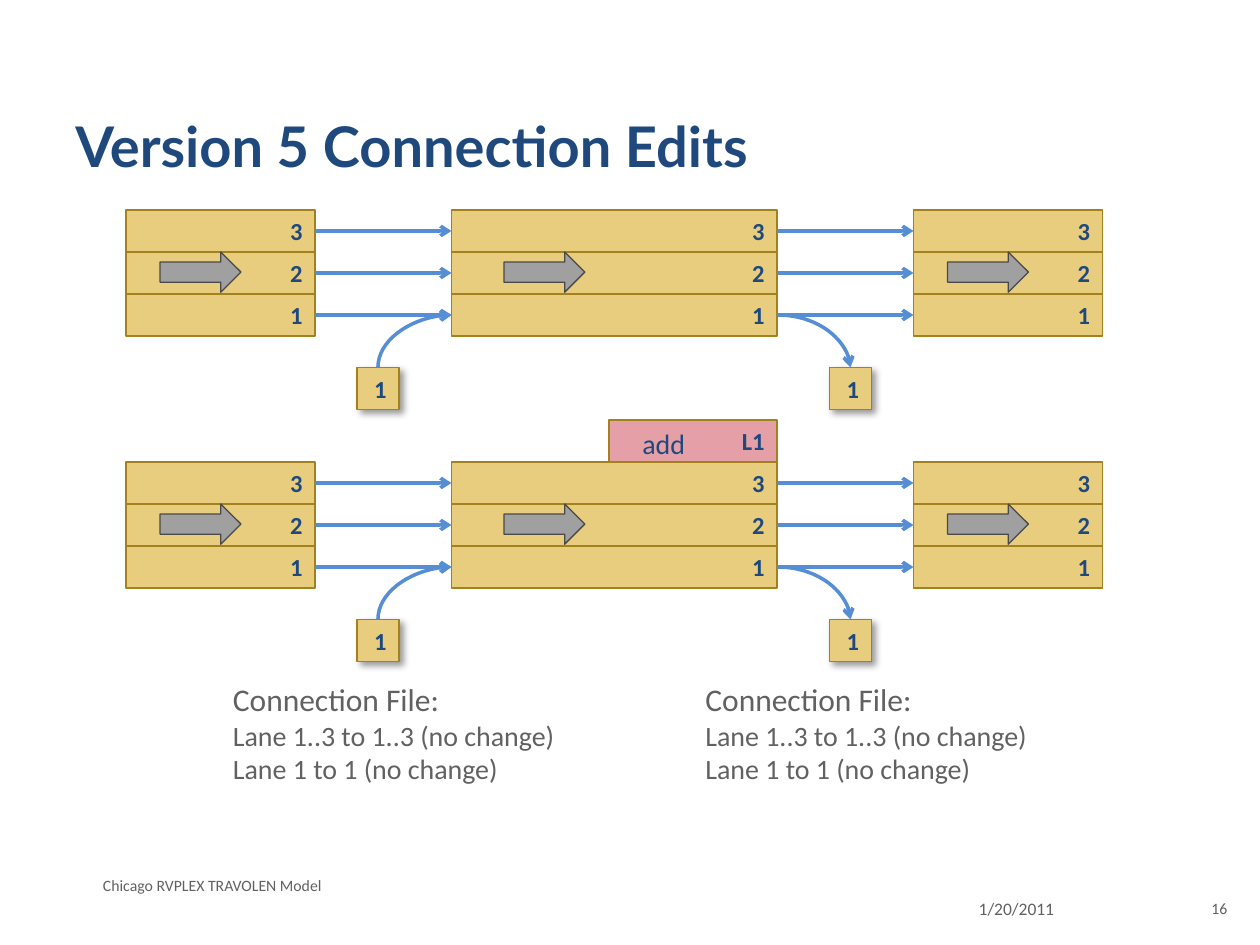
import pptx
import pptx.util
import pptx.dml.color
import pptx.enum.shapes
import pptx.enum.text
import pptx.oxml
import pptx.oxml.ns

Pt = pptx.util.Pt
SHAPE = pptx.enum.shapes.MSO_SHAPE
CONNECTOR = pptx.enum.shapes.MSO_CONNECTOR
ALIGN = pptx.enum.text.PP_ALIGN
ANCHOR = pptx.enum.text.MSO_ANCHOR
NAMESPACE = pptx.oxml.ns.nsdecls("a")

# Content
COLORS = {"navy": "1F497D", "gray": "616161", "lane": "E8CD7E", "lane_edge": "A3811D",
          "added": "E59FA6", "arrow": "A0A0A0", "arrow_edge": "494949", "link": "558ED5"}
TITLE = "Version 5 Connection Edits"
LANES = ["3", "2", "1"]
ROADS = [  # left, width, offset of the direction arrow
    (72, 108, 19.5),
    (258, 186, 30),
    (522, 108, 19.5),
]
ROAD_TOPS = [120, 264]
ADDED_LANE = ("L1", 348, 96)
NOTES = ["Connection File:", "Lane 1..3 to 1..3 (no change)", "Lane 1 to 1 (no change)"]
NOTE_LEFTS = [126, 396]
FOOTERS = [  # text, left, top, width, height, size, alignment
    ("Chicago RVPLEX TRAVOLEN Model", 51.8, 496.8, 468, 18, 9, ALIGN.LEFT),
    ("1/20/2011", 552.2, 509.8, 108, 24, 10, ALIGN.LEFT),
    ("16", 678.2, 509.8, 30.2, 23, 9, ALIGN.RIGHT),
]

LANE = 24         # height of a lane and side of a ramp box
RAMP_REACH = 42   # from road end to ramp centre
RAMP_DROP = 30    # from middle of lane 1 to ramp top


def rgb(name):
    return pptx.dml.color.RGBColor.from_string(COLORS[name])


def style_text(para, size, color, bold=False, font="Calibri", align=ALIGN.LEFT):
    para.alignment = align
    for span in para.runs:
        span.font.size = Pt(size)
        span.font.name = font
        span.font.bold = bold
        span.font.color.rgb = rgb(color)


def add_text(page, lines, left, top, width, height, sizes, color="gray", wrap=True, **style):
    box = page.shapes.add_textbox(Pt(left), Pt(top), Pt(width), Pt(height))
    frame = box.text_frame
    frame.text = "\n".join(lines)
    frame.word_wrap = wrap
    for para, size in zip(frame.paragraphs, sizes):
        style_text(para, size, color, **style)
    return box


def add_block(page, kind, left, top, width, height, fill, edge):
    block = page.shapes.add_shape(kind, Pt(left), Pt(top), Pt(width), Pt(height))
    block.shadow.inherit = False
    block.fill.solid()
    block.fill.fore_color.rgb = rgb(fill)
    block.line.color.rgb = rgb(edge)
    block.line.width = Pt(0.75)
    return block


def add_lane(page, label, left, top, width, fill="lane"):
    lane = add_block(page, SHAPE.RECTANGLE, left, top, width, LANE, fill, "lane_edge")
    lane.text_frame.text = label
    lane.text_frame.vertical_anchor = ANCHOR.MIDDLE
    style_text(lane.text_frame.paragraphs[0], 14, "navy", bold=True, align=ALIGN.RIGHT)
    return lane


def add_ramp(page, center, top):
    ramp = add_lane(page, "1", center - LANE / 2, top, LANE)
    effects = ramp._element.spPr.find(pptx.oxml.ns.qn("a:effectLst"))
    effects.append(pptx.oxml.parse_xml(
        f'<a:outerShdw {NAMESPACE} blurRad="{Pt(4)}" dist="{Pt(3)}" dir="2700000" '
        'algn="tl" rotWithShape="0"><a:srgbClr val="000000"><a:alpha val="40000"/>'
        '</a:srgbClr></a:outerShdw>'))


def add_link(page, kind, *ends):
    link = page.shapes.add_connector(kind, *[Pt(value) for value in ends])
    link.line.color.rgb = rgb("link")
    link.line.width = Pt(2)
    link.line._get_or_add_ln().append(
        pptx.oxml.parse_xml(f'<a:tailEnd {NAMESPACE} type="arrow"/>'))
    link._element.spPr.append(pptx.oxml.parse_xml(f'<a:effectLst {NAMESPACE}/>'))
    return link


def add_curve(page, *ends, rotation=0):
    curve = add_link(page, CONNECTOR.CURVE, *ends)
    properties = curve._element.spPr
    properties.find(pptx.oxml.ns.qn("a:prstGeom")).set("prst", "curvedConnector2")
    properties.find(pptx.oxml.ns.qn("a:xfrm")).set("rot", str(rotation * 60000))


def add_network(page, top):
    # Lanes and direction arrows
    roads = []
    for left, width, offset in ROADS:
        roads.append([add_lane(page, label, left, top + index * LANE, width)
                      for index, label in enumerate(LANES)])
        add_block(page, SHAPE.RIGHT_ARROW, left + offset, top + LANE, 46.2, 23,
                  "arrow", "arrow_edge")

    # Lane-to-lane connections
    for before, after in zip(roads, roads[1:]):
        for start, finish in zip(before, after):
            link = add_link(page, CONNECTOR.STRAIGHT, 0, 0, 0, 0)
            link.begin_connect(start, 3)
            link.end_connect(finish, 1)

    # Entry and exit ramps of the middle road
    road_left, road_width, _ = ROADS[1]
    road_right = road_left + road_width
    lane_middle = top + 2.5 * LANE
    ramp_top = lane_middle + RAMP_DROP
    add_ramp(page, road_left - RAMP_REACH, ramp_top)
    add_ramp(page, road_right + RAMP_REACH, ramp_top)
    add_curve(page, road_right, lane_middle, road_right + RAMP_REACH, ramp_top)
    # The entry curve is a quarter turn about its own centre
    center_x = road_left - RAMP_REACH / 2
    center_y = lane_middle + RAMP_DROP / 2
    half_width, half_height = RAMP_DROP / 2, RAMP_REACH / 2
    add_curve(page, center_x + half_width, center_y + half_height,
              center_x - half_width, center_y - half_height, rotation=90)


def main():
    deck = pptx.Presentation()
    deck.slide_width, deck.slide_height = Pt(720), Pt(540)
    page = deck.slides.add_slide(deck.slide_layouts[6])

    # Title
    title = add_text(page, [TITLE], 36, 21.6, 648, 90, [32], "navy", bold=True, font="Lato")
    title.text_frame.vertical_anchor = ANCHOR.BOTTOM
    title.text_frame.margin_bottom = Pt(9.4)

    # Road networks, the second with an added lane
    for top in ROAD_TOPS:
        add_network(page, top)
    label, left, width = ADDED_LANE
    add_lane(page, label, left, ROAD_TOPS[1] - LANE, width, "added")
    add_text(page, ["add"], 360, 240, 39, 26.6, [16], "navy", wrap=False)

    # Notes and footers
    for left in NOTE_LEFTS:
        add_text(page, NOTES, left, 385.2, 201, 67.7, [18, 16, 16], wrap=False)
    for text, left, top, width, height, size, align in FOOTERS:
        add_text(page, [text], left, top, width, height, [size], align=align)

    deck.save("out.pptx")


if __name__ == "__main__":
    main()
